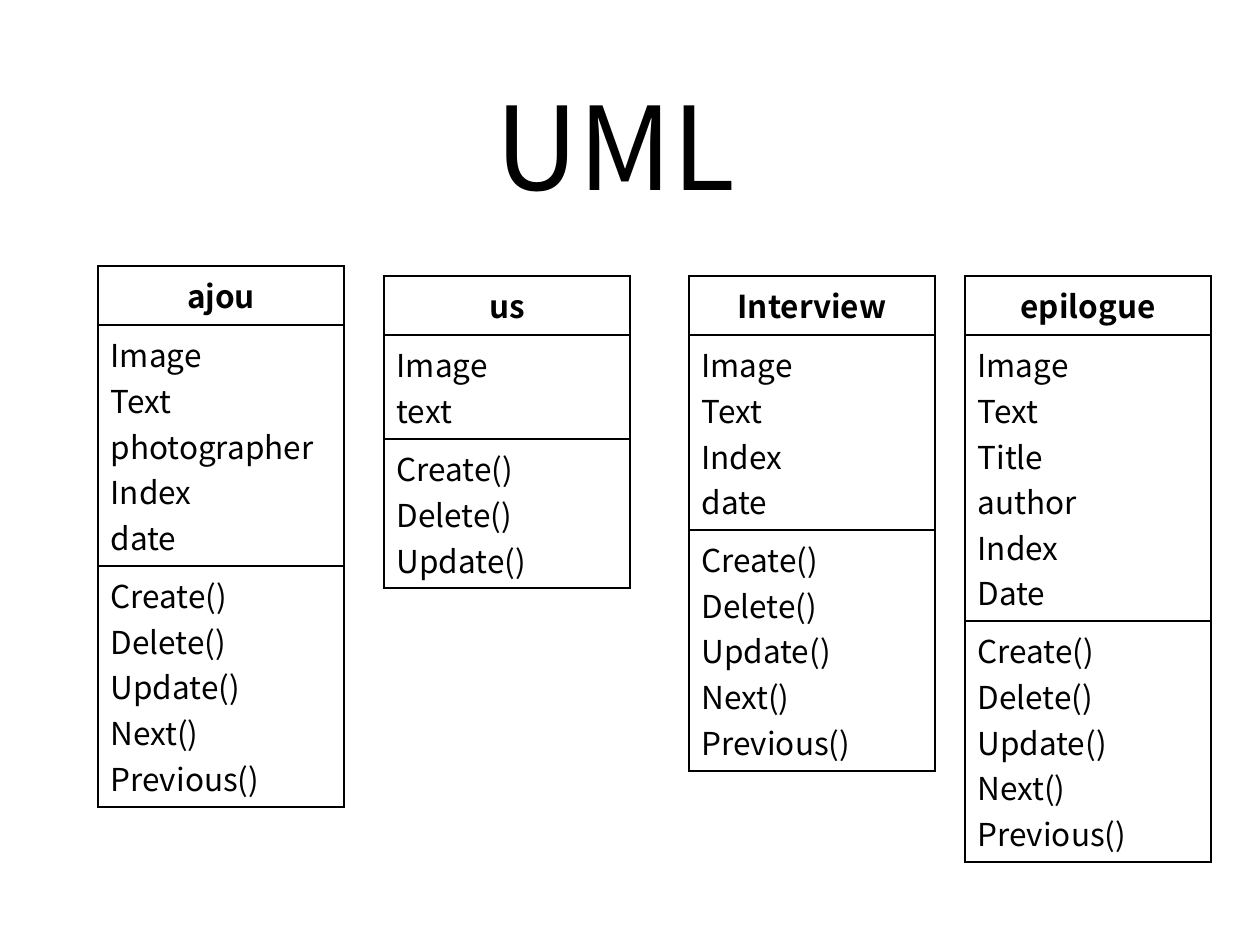
from dataclasses import dataclass

from lxml.etree import SubElement
from pptx import Presentation
from pptx.dml.color import RGBColor
from pptx.enum.text import MSO_ANCHOR, MSO_AUTO_SIZE, PP_ALIGN
from pptx.oxml.ns import qn
from pptx.util import Emu, Pt

EMU_PER_PIXEL = 914400 / 126
FONT = "Noto Sans CJK KR"
INK = "000000"
CLASS_WIDTH = 246
HEADER_HEIGHT = 59
LINE_HEIGHT = 45.6
CELL_PADDING = 12.6
BASIC_METHODS = ("Create()", "Delete()", "Update()")
PAGED_METHODS = BASIC_METHODS + ("Next()", "Previous()")


@dataclass(frozen=True)
class UmlClass:
    name: str
    left: int
    top: int
    attributes: tuple[str, ...]
    methods: tuple[str, ...]


UML_CLASSES = (
    UmlClass("Interview", 689, 276, ("Image", "Text", "Index", "date"), PAGED_METHODS),
    UmlClass("ajou", 98, 266, ("Image", "Text", "photographer", "Index", "date"), PAGED_METHODS),
    UmlClass("us", 384, 276, ("Image", "text"), BASIC_METHODS),
    UmlClass("epilogue", 965, 276, ("Image", "Text", "Title", "author", "Index", "Date"), PAGED_METHODS),
)


def px(length: int) -> Emu:
    return Emu(round(length * EMU_PER_PIXEL))


def color(value: str) -> RGBColor:
    return RGBColor.from_string(value)


def section_height(lines: tuple[str, ...]) -> int:
    return round(LINE_HEIGHT * len(lines) + CELL_PADDING)


def write_lines(frame, lines: tuple[str, ...], size: int, bold: bool, align: PP_ALIGN) -> None:
    frame.text = "\n".join(lines)
    for paragraph in frame.paragraphs:
        paragraph.alignment = align
        paragraph.font.name = FONT
        paragraph.font.size = Pt(size)
        paragraph.font.bold = bold
        paragraph.font.color.rgb = color(INK)


def add_borders(cell) -> None:
    properties = cell._tc.get_or_add_tcPr()
    for position, side in enumerate(("lnL", "lnR", "lnT", "lnB")):
        border = SubElement(properties, qn(f"a:{side}"), w=str(Pt(1)))
        fill = SubElement(border, qn("a:solidFill"))
        SubElement(fill, qn("a:srgbClr"), val=INK)
        properties.insert(position, border)


def add_uml_class(slide, uml: UmlClass) -> None:
    sections = ((uml.name,), uml.attributes, uml.methods)
    heights = [HEADER_HEIGHT, section_height(uml.attributes), section_height(uml.methods)]
    table = slide.shapes.add_table(
        len(sections), 1, px(uml.left), px(uml.top), px(CLASS_WIDTH), px(sum(heights))
    ).table
    table.first_row = False
    table.horz_banding = False
    for index, (lines, height) in enumerate(zip(sections, heights)):
        table.rows[index].height = px(height)
        cell = table.cell(index, 0)
        cell.fill.background()
        add_borders(cell)
        is_header = index == 0
        align = PP_ALIGN.CENTER if is_header else PP_ALIGN.LEFT
        write_lines(cell.text_frame, lines, 18, is_header, align)


def add_title(slide) -> None:
    title = slide.shapes.title
    title.left, title.top, title.width, title.height = map(px, (423, 69, 384, 152))
    frame = title.text_frame
    frame.word_wrap = True
    frame.auto_size = MSO_AUTO_SIZE.SHAPE_TO_FIT_TEXT
    frame.vertical_anchor = MSO_ANCHOR.TOP
    write_lines(frame, ("UML",), 66, False, PP_ALIGN.CENTER)


def main() -> None:
    presentation = Presentation()
    presentation.slide_width = px(1260)
    presentation.slide_height = px(945)
    slide = presentation.slides.add_slide(presentation.slide_layouts[5])
    for uml in UML_CLASSES:
        add_uml_class(slide, uml)
    add_title(slide)
    presentation.save("out.pptx")


main()
